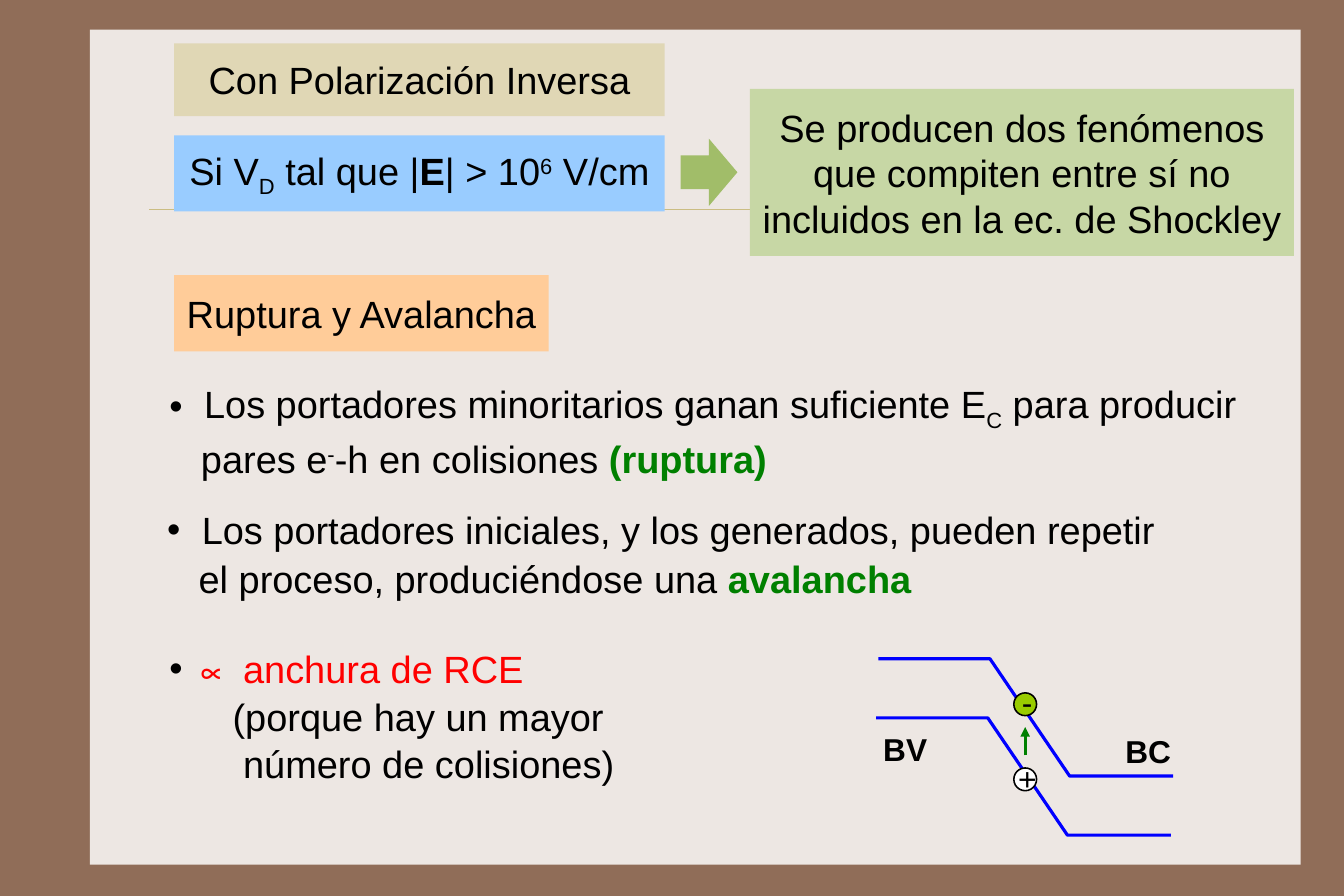
"""Build the slide on reverse bias, breakdown and avalanche."""
from dataclasses import dataclass
from typing import NamedTuple, Optional

from lxml import etree
from pptx import Presentation
from pptx.dml.color import RGBColor
from pptx.enum.shapes import MSO_CONNECTOR as CONN, MSO_SHAPE as SHAPE
from pptx.enum.text import MSO_ANCHOR as ANCHOR, PP_ALIGN as ALIGN
from pptx.oxml.ns import qn
from pptx.util import Pt

COLORS = {
    "frame": "906D58", "panel": "EDE7E3", "rule": "CBBD83",
    "sand": "E0D7B5", "sky": "99CCFF", "peach": "FFCC99", "sage": "C7D7A5",
    "arrow": "A1BD69", "band": "0000FF", "electron": "99CC00",
    "white": "FFFFFF", "black": "000000", "green": "008000", "red": "FF0000",
}
SUB, SUP = -25000, 30000


class Run(NamedTuple):
    text: str
    color: str = "black"
    bold: bool = False
    baseline: int = 0


class Para(NamedTuple):
    runs: list[Run]
    indent: float = 0
    bullet: bool = False
    before: float = 0


class Block(NamedTuple):
    x: float
    y: float
    w: float
    h: float
    fill: str
    kind: SHAPE = SHAPE.RECTANGLE
    line: Optional[str] = None


@dataclass
class Label:
    x: float
    y: float
    w: float
    h: float
    paras: list[Para]
    fill: Optional[str] = None
    size: float = 24
    centered: bool = True
    top: Optional[float] = None
    rotation: float = 0


BLOCKS = [
    Block(56.9, 18.7, 766.1, 528.5, "panel"),
    Block(430.6, 87.8, 36, 42.5, "arrow", SHAPE.RIGHT_ARROW),
]
CARRIERS = [
    Block(641.5, 438.5, 14.4, 14.4, "electron", SHAPE.OVAL, "black"),
    Block(641.5, 486, 14.4, 14.4, "white", SHAPE.OVAL, "black"),
]
LABELS = [
    Label(110.2, 27.4, 310.3, 46.1, [Para([Run("Con Polarización Inversa")])], "sand"),
    Label(110.2, 85.7, 310.3, 48.2, [Para([
        Run("Si V"), Run("D", baseline=SUB), Run(" tal que |"), Run("E", bold=True),
        Run("| > 10"), Run("6", baseline=SUP), Run(" V/cm")])], "sky"),
    Label(474.5, 56.2, 344.2, 105.8, [Para([Run(
        "Se producen dos fenómenos que compiten entre sí no "
        "incluidos en la ec. de Shockley")])], "sage"),
    Label(110.2, 174.2, 236.9, 48.2, [Para([Run("Ruptura y Avalancha")])], "peach"),
    Label(100.1, 236.9, 693.4, 69.8, [
        Para([Run("Los portadores minoritarios ganan suficiente E"),
              Run("C", baseline=SUB), Run(" para producir")], 22, True),
        Para([Run("pares e"), Run("-", baseline=SUP), Run("-h en colisiones "),
              Run("(ruptura)", "green", True)], 20, before=2),
    ], centered=False, top=4),
    Label(98.6, 319, 641.5, 69.8, [
        Para([Run("Los portadores iniciales, y los generados, pueden repetir")], 22, True),
        Para([Run("el proceso, produciéndose una "),
              Run("avalancha", "green", True)], 20, before=2),
    ], centered=False, top=1.6),
    Label(100.1, 398.2, 298.8, 105.8, [
        Para([Run("∝ anchura de RCE", "red")], 16, True),
        Para([Run("(porque hay un mayor")], 40, before=1.2),
        Para([Run("número de colisiones)")], 46.7, before=1.2),
    ], centered=False, top=10.5),
    Label(551.5, 452.9, 42.5, 42.5, [Para([Run("BV", bold=True)])], size=20),
    Label(704.9, 453.6, 43.2, 42.5, [Para([Run("BC", bold=True)])], size=20),
]
SIGNS = [
    Label(639.4, 422.6, 20.9, 42.5, [Para([Run("-")])], size=20),
    Label(635.8, 472.3, 25.9, 42.5, [Para([Run("+")])], size=20, rotation=270),
]
BAND_STEPS = [(0, 0), (70.6, 0), (121, 74.2), (186.5, 74.2)]
BAND_STARTS = [(555.8, 416.9), (554.4, 454.3)]


def rgb(name: str) -> RGBColor:
    """Return the named colour."""
    return RGBColor.from_string(COLORS[name])


def add_block(shapes, b: Block):
    """Draw a filled preset shape."""
    sp = shapes.add_shape(b.kind, Pt(b.x), Pt(b.y), Pt(b.w), Pt(b.h))
    sp.shadow.inherit = False
    sp.fill.solid()
    sp.fill.fore_color.rgb = rgb(b.fill)
    if b.line:
        sp.line.color.rgb = rgb(b.line)
        sp.line.width = Pt(1)
    else:
        sp.line.fill.background()
    return sp


def add_para(p, para: Para, label: Label) -> None:
    """Fill one paragraph run by run."""
    p.alignment = ALIGN.CENTER if label.centered else ALIGN.LEFT
    if para.before:
        p.space_before = Pt(para.before)
    pPr = p._p.get_or_add_pPr()
    pPr.set("marL", str(Pt(para.indent)))
    pPr.set("indent", str(-Pt(para.indent) if para.bullet else 0))
    if para.bullet:
        etree.SubElement(pPr, qn("a:buClr")).append(
            etree.Element(qn("a:srgbClr"), val=COLORS["black"]))
        etree.SubElement(pPr, qn("a:buFont"), typeface="Arial")
        etree.SubElement(pPr, qn("a:buChar"), char="•")
    for run in para.runs:
        r = p.add_run()
        r.text = run.text
        r.font.name, r.font.size, r.font.bold = "Arial", Pt(label.size), run.bold
        r.font.color.rgb = rgb(run.color)
        if run.baseline:
            r._r.get_or_add_rPr().set("baseline", str(run.baseline))


def add_label(shapes, label: Label) -> None:
    """Draw a text box or a filled text rectangle."""
    if label.fill:
        sp = add_block(shapes, Block(label.x, label.y, label.w, label.h, label.fill))
    else:
        sp = shapes.add_textbox(Pt(label.x), Pt(label.y), Pt(label.w), Pt(label.h))
    sp.rotation = label.rotation
    tf = sp.text_frame
    tf.word_wrap = True
    tf.margin_left = Pt(0 if label.centered else 7.2)
    tf.margin_right = tf.margin_bottom = 0
    tf.margin_top = Pt(label.top or 0)
    tf.vertical_anchor = ANCHOR.MIDDLE if label.top is None else ANCHOR.TOP
    for i, para in enumerate(label.paras):
        add_para(tf.add_paragraph() if i else tf.paragraphs[0], para, label)


def add_band(shapes, x: float, y: float) -> None:
    """Draw the edge of an energy band."""
    points = [(Pt(x + dx), Pt(y + dy)) for dx, dy in BAND_STEPS]
    builder = shapes.build_freeform(*points[0], scale=1.0)
    builder.add_line_segments(points[1:], close=False)
    sp = builder.convert_to_shape()
    sp.shadow.inherit = False
    sp.fill.background()
    sp.line.color.rgb = rgb("band")
    sp.line.width = Pt(2)


def add_line(shapes, x1: float, y1: float, x2: float, y2: float,
             color: str, width: float, arrow: bool = False) -> None:
    """Draw a straight line, with an arrowhead at its end if asked."""
    c = shapes.add_connector(CONN.STRAIGHT, Pt(x1), Pt(y1), Pt(x2), Pt(y2))
    c.line.color.rgb = rgb(color)
    c.line.width = Pt(width)
    if arrow:
        etree.SubElement(c.line._get_or_add_ln(), qn("a:tailEnd"), type="triangle")
    etree.SubElement(c._element.spPr, qn("a:effectLst"))


def main() -> None:
    """Build and save the slide."""
    prs = Presentation()
    prs.slide_width, prs.slide_height = Pt(850.4), Pt(567)
    s = prs.slides.add_slide(prs.slide_layouts[6])
    s.background.fill.solid()
    s.background.fill.fore_color.rgb = rgb("frame")
    for block in BLOCKS:
        add_block(s.shapes, block)
    add_line(s.shapes, 94.3, 132.5, 879.8 - 72, 132.5, "rule", 0.25)
    for start in BAND_STARTS:
        add_band(s.shapes, *start)
    for label in LABELS:
        add_label(s.shapes, label)
    for carrier in CARRIERS:
        add_block(s.shapes, carrier)
    add_line(s.shapes, 648.7, 478.1, 648.7, 460.1, "green", 2, arrow=True)
    for sign in SIGNS:
        add_label(s.shapes, sign)
    prs.save("out.pptx")


if __name__ == "__main__":
    main()
